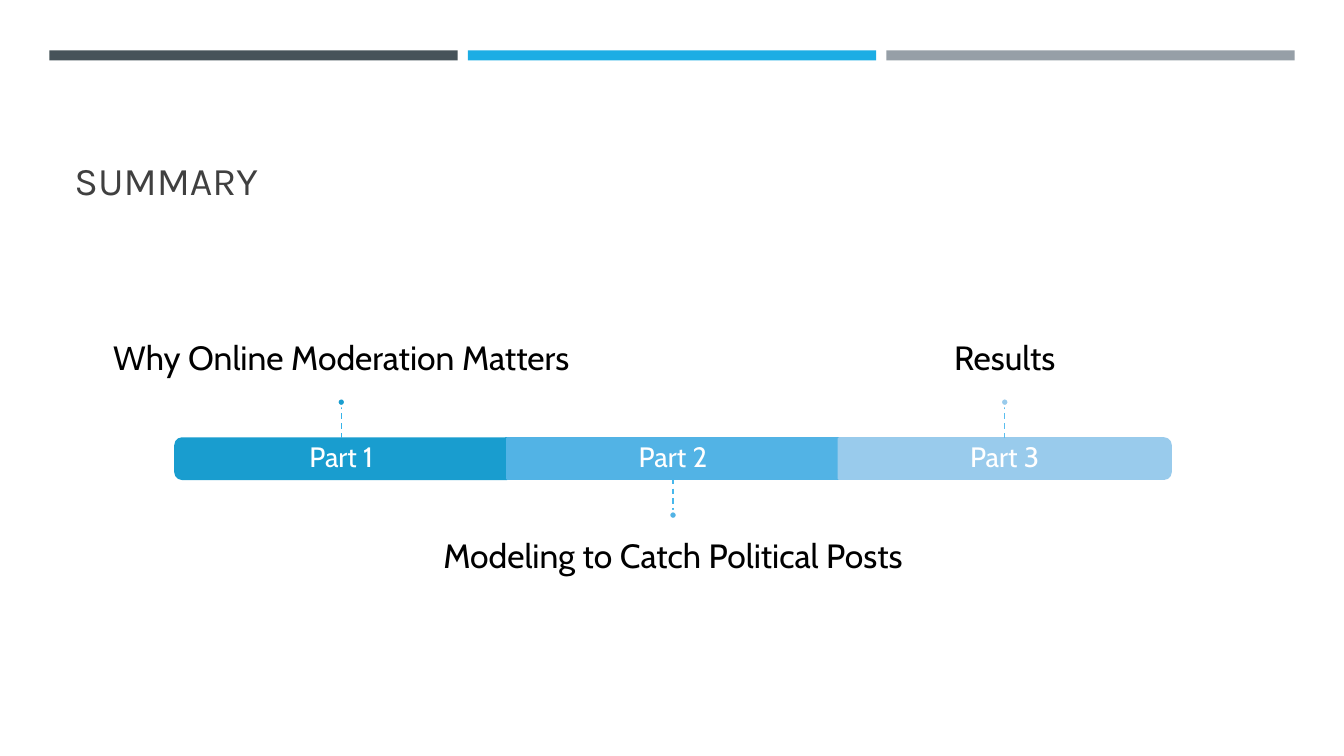
from dataclasses import dataclass

from lxml.etree import SubElement
from pptx import Presentation
from pptx.dml.color import RGBColor
from pptx.enum.dml import MSO_LINE
from pptx.enum.shapes import MSO_CONNECTOR, MSO_SHAPE
from pptx.enum.text import MSO_ANCHOR, PP_ALIGN
from pptx.oxml.ns import qn
from pptx.util import Inches, Pt


@dataclass(frozen=True)
class Theme:
    heading_font: str = "Karla"
    body_font: str = "Cabin"
    title_size: int = 28
    label_size: int = 24
    segment_size: int = 20
    title: str = "404040"
    text: str = "000000"
    white: str = "FFFFFF"
    bands: tuple = ("465359", "1CADE4", "969FA7")
    segments: tuple = ("199DCF", "52B3E5", "99CBEC")
    stems: tuple = ("36B3E9", "48B8EC", "5ABEEF")


THEME = Theme()

# Timeline geometry in inches
BAR_LEFT, BAR_TOP, BAR_H, SEGMENT_W = 1.74, 4.35, 0.4, 3.29
STEM, DOT = 0.32, 0.08
LABEL_W, LABEL_H, LABEL_GAP = 5.48, 1.39, 0.2

SEGMENTS = [
    ("Part 1", "Why Online Moderation Matters"),
    ("Part 2", "Modeling to Catch Political Posts"),
    ("Part 3", "Results"),
]


def rgb(color):
    return RGBColor.from_string(color)


def add_text(s, text, x, y, w, h, *, size, color, font=THEME.body_font,
             align=PP_ALIGN.CENTER, anchor=MSO_ANCHOR.MIDDLE,
             margins=(0, 0, 0, 0), spacing=0.9):
    tf = s.shapes.add_textbox(Inches(x), Inches(y), Inches(w), Inches(h)).text_frame
    tf.word_wrap = True
    tf.vertical_anchor = anchor
    (tf.margin_left, tf.margin_top,
     tf.margin_right, tf.margin_bottom) = map(Inches, margins)
    p = tf.paragraphs[0]
    p.alignment = align
    p.line_spacing = spacing
    r = p.add_run()
    r.text = text
    r.font.name = font
    r.font.size = Pt(size)
    r.font.color.rgb = rgb(color)


def add_block(s, kind, x, y, w, h, fill, line=None, rotation=0):
    sp = s.shapes.add_shape(kind, Inches(x), Inches(y), Inches(w), Inches(h))
    sp.shadow.inherit = False
    sp.rotation = rotation
    sp.fill.solid()
    sp.fill.fore_color.rgb = rgb(fill)
    if line:
        sp.line.color.rgb = rgb(line)
        sp.line.width = Pt(1.75)
    else:
        sp.line.fill.background()


def add_stem(s, x, y1, y2, color):
    stem = s.shapes.add_connector(
        MSO_CONNECTOR.STRAIGHT, Inches(x), Inches(y1), Inches(x), Inches(y2))
    stem.line.color.rgb = rgb(color)
    stem.line.width = Pt(1)
    stem.line.dash_style = MSO_LINE.DASH
    SubElement(stem._element.spPr, qn("a:effectLst"))


def add_segment(s, i, center, color):
    middle = BAR_TOP + BAR_H / 2
    if 0 < i < len(SEGMENTS) - 1:
        add_block(s, MSO_SHAPE.RECTANGLE, center - SEGMENT_W / 2, BAR_TOP,
                  SEGMENT_W, BAR_H, color, color)
    else:
        # End segments are upright shapes turned so the round side faces out
        add_block(s, MSO_SHAPE.ROUND_2_SAME_RECTANGLE, center - BAR_H / 2,
                  middle - SEGMENT_W / 2, BAR_H, SEGMENT_W, color, color,
                  rotation=90 if i else 270)


def add_step(s, i, name, label):
    center = BAR_LEFT + (i + 0.5) * SEGMENT_W
    color = THEME.segments[i]
    add_segment(s, i, center, color)
    add_text(s, name, center - SEGMENT_W / 2, BAR_TOP, SEGMENT_W, BAR_H,
             size=THEME.segment_size, color=THEME.white)

    # Labels alternate above and below the bar
    if i % 2 == 0:
        start, end = BAR_TOP, BAR_TOP - STEM
        dot_top = end - DOT
        label_top = dot_top - LABEL_H
        anchor, margins = MSO_ANCHOR.BOTTOM, (0, 0, 0, LABEL_GAP)
    else:
        start, end = BAR_TOP + BAR_H, BAR_TOP + BAR_H + STEM
        dot_top = end
        label_top = dot_top + DOT
        anchor, margins = MSO_ANCHOR.TOP, (0, LABEL_GAP, 0, 0)
    add_text(s, label, center - LABEL_W / 2, label_top, LABEL_W, LABEL_H,
             size=THEME.label_size, color=THEME.text,
             anchor=anchor, margins=margins)
    add_stem(s, center, start, end, THEME.stems[i])
    add_block(s, MSO_SHAPE.OVAL, center - DOT / 2, dot_top, DOT, DOT,
              color, THEME.white)


def main():
    prs = Presentation()
    prs.slide_width, prs.slide_height = Inches(13.33), Inches(7.5)
    s = prs.slides.add_slide(prs.slide_layouts[6])

    # Bands along the top
    for i, color in enumerate(THEME.bands):
        add_block(s, MSO_SHAPE.RECTANGLE, 0.49 + i * 4.15, 0.5, 4.05, 0.1, color)

    # Title
    add_text(s, "SUMMARY", 0.64, 0.77, 12.06, 1.3, size=THEME.title_size,
             color=THEME.title, font=THEME.heading_font, align=PP_ALIGN.LEFT,
             anchor=MSO_ANCHOR.BOTTOM, margins=(0.1, 0.05, 0.1, 0.05), spacing=1.0)

    # Timeline
    for i, (name, label) in enumerate(SEGMENTS):
        add_step(s, i, name, label)

    prs.save("out.pptx")


if __name__ == "__main__":
    main()
